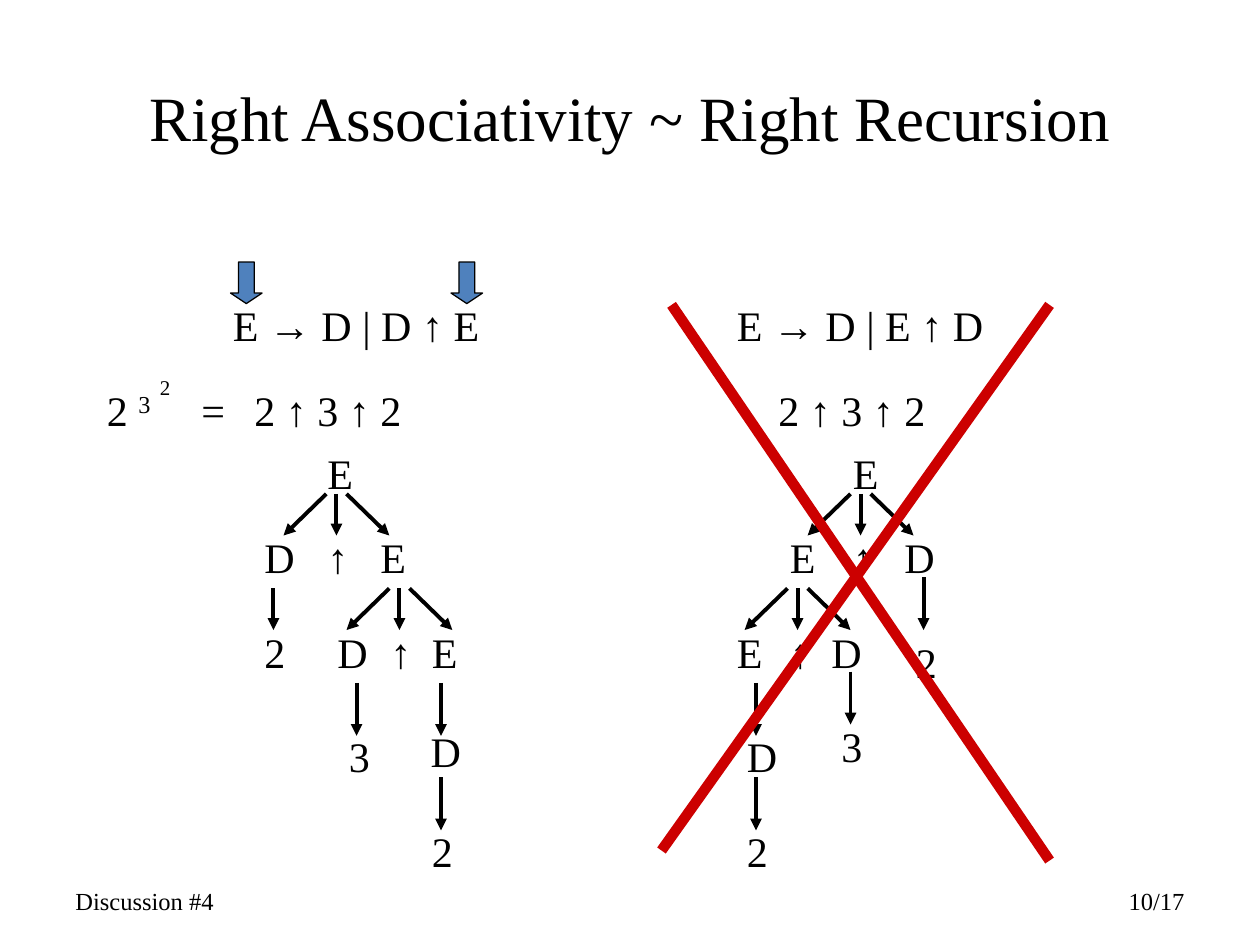
from typing import NamedTuple

from pptx import Presentation
from pptx.dml.color import RGBColor
from pptx.enum.shapes import MSO_CONNECTOR, MSO_SHAPE
from pptx.enum.text import MSO_ANCHOR, PP_ALIGN
from pptx.oxml.ns import qn
from pptx.util import Inches, Pt
from lxml.etree import SubElement

FONT = "Times New Roman"
BLACK, RED, BLUE = "000000", "CC0000", "4F81BD"


class Label(NamedTuple):
    text: str
    x: float
    y: float
    width: float = 0.5
    height: float = 0.5
    size: int = 24
    wrap: bool = True


class Arrow(NamedTuple):
    x: float
    y: float
    length: float = 0.42


class Fan(NamedTuple):
    """Three arrows from a tree node down to its children."""
    x: float
    y: float


def rgb(value: str) -> RGBColor:
    return RGBColor.from_string(value)


def style_text(frame, size: int) -> None:
    for paragraph in frame.paragraphs:
        for run in paragraph.runs:
            run.font.name = FONT
            run.font.size = Pt(size)
            run.font.color.rgb = rgb(BLACK)


def draw_label(slide, label: Label):
    box = slide.shapes.add_textbox(Inches(label.x), Inches(label.y),
                                   Inches(label.width), Inches(label.height))
    frame = box.text_frame
    frame.word_wrap = label.wrap
    frame.text = label.text
    style_text(frame, label.size)
    return frame


def draw_line(slide, x1: float, y1: float, x2: float, y2: float,
              color: str = BLACK, width: float = 2.25, arrow: bool = True) -> None:
    line = slide.shapes.add_connector(MSO_CONNECTOR.STRAIGHT, Inches(x1), Inches(y1),
                                      Inches(x2), Inches(y2))
    line.line.color.rgb = rgb(color)
    line.line.width = Pt(width)
    if arrow:
        SubElement(line.line._get_or_add_ln(), qn("a:tailEnd"), type="triangle")
    SubElement(line._element.spPr, qn("a:effectLst"))


def draw_arrow(slide, arrow: Arrow) -> None:
    draw_line(slide, arrow.x, arrow.y, arrow.x, arrow.y + arrow.length)


def draw_fan(slide, fan: Fan) -> None:
    for side in (-1, 0, 1):
        draw_line(slide, fan.x + side * 0.08, fan.y, fan.x + side * 0.42, fan.y + 0.33)


def draw_marker(slide, x: float) -> None:
    marker = slide.shapes.add_shape(MSO_SHAPE.DOWN_ARROW, Inches(x), Inches(2.08),
                                    Inches(0.25), Inches(0.33))
    marker.adjustments[0] = 0.5
    marker.adjustments[1] = 0.333
    marker.shadow.inherit = False
    marker.fill.solid()
    marker.fill.fore_color.rgb = rgb(BLUE)
    marker.line.color.rgb = rgb(BLACK)
    marker.line.width = Pt(0.75)


GRAMMARS = [
    Label("E → D | D ↑ E", 1.75, 2.33, 2.5),
    Label("E → D | E ↑ D", 5.75, 2.33, 2.5),
    Label("2 ↑ 3 ↑ 2", 1.92, 3, 1.67),
    Label("2 ↑ 3 ↑ 2", 6.08, 3, 1.67),
]
RIGHT_RECURSIVE_TREE = [
    Label("E", 2.5, 3.5), Fan(2.67, 3.92),
    Label("D", 2, 4.17), Label("↑", 2.5, 4.17), Label("E", 2.92, 4.17),
    Arrow(2.17, 4.67, 0.33), Fan(3.17, 4.67),
    Label("2", 2, 4.92), Label("D", 2.58, 4.92), Label("↑", 3, 4.92), Label("E", 3.33, 4.92),
    Arrow(2.83, 5.42), Arrow(3.5, 5.42),
    Label("3", 2.67, 5.75), Label("D", 3.32, 5.71, 0.45, 0.51, wrap=False),
    Arrow(3.5, 6.17), Label("2", 3.33, 6.5),
]
LEFT_RECURSIVE_TREE = [
    Label("E", 6.67, 3.5), Fan(6.83, 3.92),
    Label("E", 6.17, 4.17), Label("↑", 6.67, 4.17), Label("D", 7.08, 4.17),
    Fan(6.33, 4.67), Arrow(7.33, 4.58),
    Label("E", 5.75, 4.92), Label("↑", 6.17, 4.92), Label("D", 6.5, 4.92), Label("2", 7.17, 5),
    Arrow(6, 5.42), Arrow(6.75, 5.33),
    Label("D", 5.83, 5.75), Label("3", 6.58, 5.67),
    Arrow(6, 6.17), Label("2", 5.83, 6.5),
]
DRAWERS = {Label: draw_label, Arrow: draw_arrow, Fan: draw_fan}


def main() -> None:
    deck = Presentation()
    deck.slide_width, deck.slide_height = Inches(10), Inches(7.5)
    slide = deck.slides.add_slide(deck.slide_layouts[5])

    # Title
    title = slide.shapes.title
    title.left, title.top = Inches(0.5), Inches(0.3)
    title.width, title.height = Inches(9), Inches(1.25)
    title.text_frame.text = "Right Associativity ~ Right Recursion"
    title.text_frame.vertical_anchor = MSO_ANCHOR.MIDDLE
    title.text_frame.paragraphs[0].alignment = PP_ALIGN.CENTER
    style_text(title.text_frame, 36)

    # Footer
    for text, x, alignment in (("Discussion #4", 0.5, PP_ALIGN.LEFT),
                               ("10/17", 7.17, PP_ALIGN.RIGHT)):
        footer = draw_label(slide, Label(text, x, 6.95, 2.33, 0.4, 14))
        footer.vertical_anchor = MSO_ANCHOR.MIDDLE
        footer.paragraphs[0].alignment = alignment

    # Grammars and parse trees
    for part in GRAMMARS + RIGHT_RECURSIVE_TREE + LEFT_RECURSIVE_TREE:
        DRAWERS[type(part)](slide, part)

    # Markers over the recursive symbol
    for x in (1.83, 3.58):
        draw_marker(slide, x)

    # Cross over the wrong grammar
    draw_line(slide, 8.33, 2.42, 5.25, 6.75, RED, 6, arrow=False)
    draw_line(slide, 5.33, 2.42, 8.33, 6.83, RED, 6, arrow=False)

    # Stacked powers
    power = draw_label(slide, Label("2 ", 0.75, 3, 0.56, wrap=False))
    exponent = power.paragraphs[0].add_run()
    exponent.text = "3"
    style_text(power, 24)
    exponent.font._element.set("baseline", "30000")
    draw_label(slide, Label("2", 1.17, 2.92, 0.28, 0.3, 12, wrap=False))
    draw_label(slide, Label("=", 1.5, 3, 0.39, wrap=False))

    deck.save("out.pptx")


if __name__ == "__main__":
    main()
